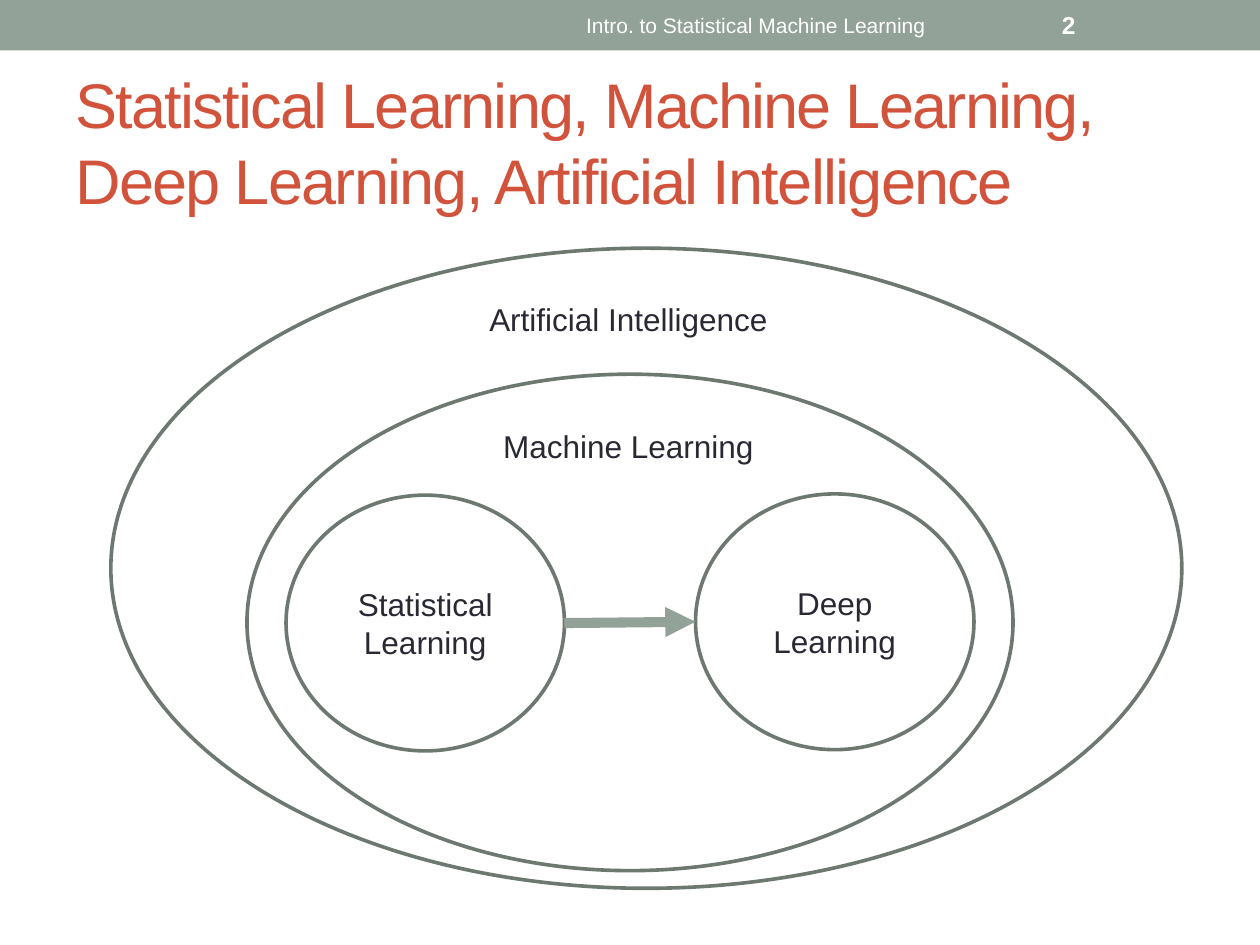
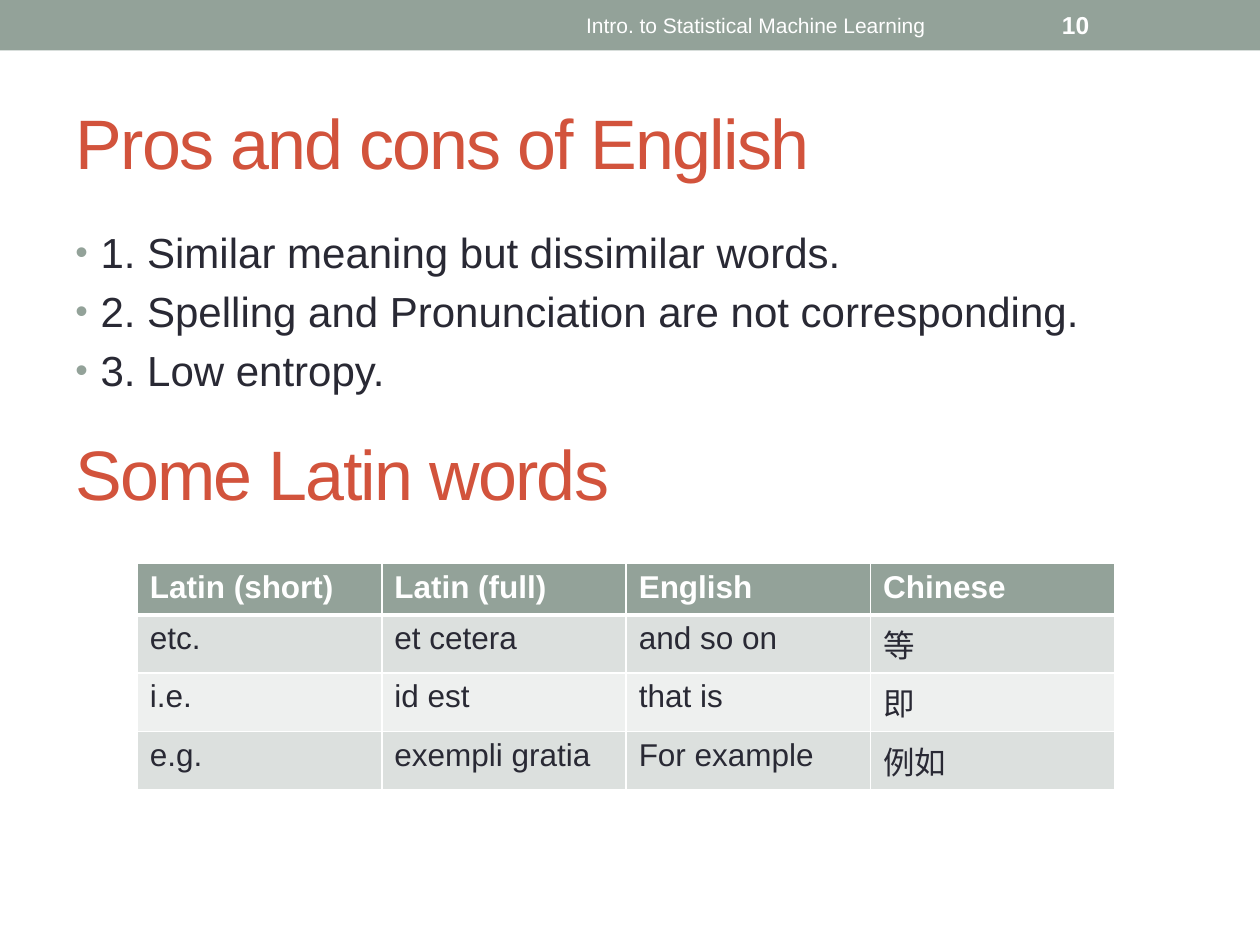
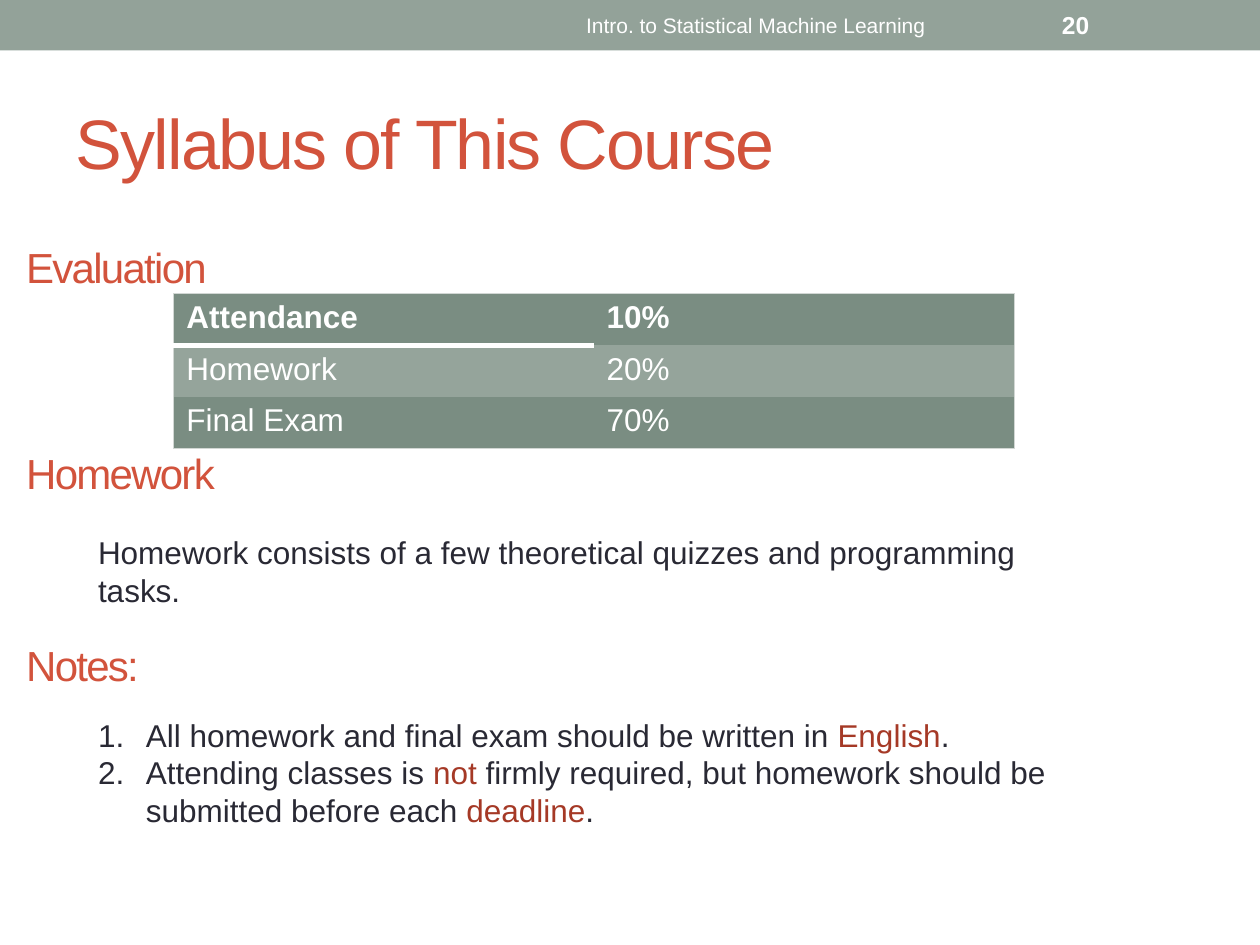
from lxml.etree import SubElement
from pptx import Presentation
from pptx.dml.color import RGBColor
from pptx.enum.shapes import MSO_CONNECTOR, MSO_SHAPE
from pptx.enum.text import MSO_ANCHOR as Anchor, MSO_AUTO_SIZE as AutoSize, PP_ALIGN as Align
from pptx.oxml.ns import qn
from pptx.util import Inches, Pt

FONT = "Arial"
WHITE = RGBColor(0xFF, 0xFF, 0xFF)
SAGE = RGBColor(0x93, 0xA2, 0x99)
OUTLINE = RGBColor(0x6D, 0x78, 0x71)
ORANGE = RGBColor(0xD2, 0x53, 0x3C)
BRICK = RGBColor(0xA5, 0x39, 0x26)
INK = RGBColor(0x29, 0x29, 0x34)
ROW_DARK = RGBColor(0xDC, 0xE0, 0xDE)
ROW_LIGHT = RGBColor(0xEE, 0xF0, 0xEF)
MOSS = RGBColor(0x7A, 0x8D, 0x82)
MOSS_LIGHT = RGBColor(0x95, 0xA4, 0x9B)
TABLE_EDGE = RGBColor(0xD2, 0xD7, 0xD4)
NO_STYLE_NO_GRID = "{2D5ABB26-0587-4C30-8999-92F81FD0307C}"

COURSE = "Intro. to Statistical Machine Learning"
TITLE_AREA = (0.5, 0.58, 9, 1.08)

# Ellipses: text, (left, top, width, height)
AI_AREA = (0.88, 1.97, 8.5, 5.08)
ML_AREA = (1.96, 2.97, 6.08, 3.94)
STATISTICAL_AREA = (2.27, 3.93, 2.21, 2.03)
DEEP_AREA = (5.52, 3.92, 2.21, 2.03)
FIELDS = [
    ("", ML_AREA),
    ("Statistical Learning", STATISTICAL_AREA),
    ("Deep Learning", DEEP_AREA),
    ("", AI_AREA),
]
# Labels centred on the slide: text, top, width
FIELD_LABELS = [("Machine Learning", 3.34, 2.21), ("Artificial Intelligence", 2.33, 2.43)]

ENGLISH_POINTS = [
    "1. Similar meaning but dissimilar words.",
    "2. Spelling and Pronunciation are not corresponding.",
    "3. Low entropy.",
]
LATIN_WORDS = [
    ("Latin (short)", "Latin (full)", "English", "Chinese"),
    ("etc.", "et cetera", "and so on", "等"),
    ("i.e.", "id est", "that is", "即"),
    ("e.g.", "exempli gratia", "For example", "例如"),
]

EVALUATION = [("Attendance", "10%"), ("Homework", "20%"), ("Final Exam", "70%")]
# Section headings: text, top
SECTIONS = [("Evaluation", 1.87), ("Notes:", 5.03), ("Homework", 3.5)]
HOMEWORK = "Homework consists of a few theoretical quizzes and programming tasks."
NOTES = [
    [("All homework and final exam should be written in ", INK), ("English", BRICK), (".", INK)],
    [("Attending classes is ", INK), ("not ", BRICK),
     ("firmly required, but homework should be submitted before each ", INK),
     ("deadline", BRICK), (".", INK)],
]


def inches(area):
    return [Inches(value) for value in area]


def add_run(paragraph, text, size, color=INK, bold=False, spacing=None):
    """Add a formatted run; spacing is in points between letters."""
    run = paragraph.add_run()
    run.text = text
    run.font.name, run.font.size, run.font.bold = FONT, Pt(size), bold
    run.font.color.rgb = color
    if spacing:
        run.font._element.set("spc", str(spacing * 100))


def add_text(slide, area, text, size, color=INK, bold=False, spacing=None,
             align=Align.LEFT, anchor=Anchor.TOP, wrap=True):
    frame = slide.shapes.add_textbox(*inches(area)).text_frame
    frame.word_wrap = wrap
    frame.auto_size = AutoSize.NONE if wrap else AutoSize.SHAPE_TO_FIT_TEXT
    frame.vertical_anchor = anchor
    frame.paragraphs[0].alignment = align
    if text:
        add_run(frame.paragraphs[0], text, size, color, bold, spacing)
    return frame


def add_list(slide, area, items, size, indent, marker, gap=0):
    """Add a list of items, each a list of (text, colour); marker adds the bullet XML."""
    frame = add_text(slide, area, "", size)
    for number, item in enumerate(items):
        paragraph = frame.add_paragraph() if number else frame.paragraphs[0]
        properties = paragraph._p.get_or_add_pPr()
        properties.set("marL", str(Inches(indent)))
        properties.set("indent", str(-Inches(indent)))
        marker(properties)
        if number:
            paragraph.space_before = Pt(gap)
        for text, color in item:
            add_run(paragraph, text, size, color)


def dot_marker(properties):
    color = SubElement(properties, qn("a:buClr"))
    SubElement(color, qn("a:srgbClr"), val=str(SAGE))
    SubElement(properties, qn("a:buSzPct"), val="85000")
    SubElement(properties, qn("a:buFont"), typeface=FONT)
    SubElement(properties, qn("a:buChar"), char="•")


def number_marker(properties):
    SubElement(properties, qn("a:buFont"), typeface=FONT)
    SubElement(properties, qn("a:buAutoNum"), type="arabicPeriod")


def add_slide(prs, title, page, title_size=40):
    slide = prs.slides.add_slide(prs.slide_layouts[5])
    band = slide.shapes.add_shape(MSO_SHAPE.RECTANGLE, *inches((0, 0, 10, 0.4)))
    band.shadow.inherit = False
    band.fill.solid()
    band.fill.fore_color.rgb = SAGE
    band.line.fill.background()

    heading = slide.shapes.title
    heading.left, heading.top, heading.width, heading.height = inches(TITLE_AREA)
    frame = heading.text_frame
    frame.auto_size = AutoSize.NONE
    frame.vertical_anchor = Anchor.MIDDLE
    frame.paragraphs[0].alignment = Align.LEFT
    add_run(frame.paragraphs[0], title, title_size, ORANGE, spacing=-1)

    add_text(slide, (3.75, 0.02, 4.5, 0.36), COURSE, 12, WHITE,
             align=Align.CENTER, anchor=Anchor.MIDDLE)
    add_text(slide, (8.33, 0.02, 1.17, 0.36), page, 14, WHITE, bold=True, anchor=Anchor.MIDDLE)
    return slide


def add_field(slide, text, area):
    ellipse = slide.shapes.add_shape(MSO_SHAPE.OVAL, *inches(area))
    ellipse.shadow.inherit = False
    ellipse.fill.background()
    ellipse.line.color.rgb = OUTLINE
    ellipse.line.width = Pt(2.08)
    if text:
        frame = ellipse.text_frame
        frame.vertical_anchor = Anchor.MIDDLE
        frame.paragraphs[0].alignment = Align.CENTER
        add_run(frame.paragraphs[0], text, 18)


def add_arrow(slide, start_area, end_area):
    """Draw an arrow from the right of one area to the left of the next."""
    left, top, width, height = start_area
    end_left, end_top, _, end_height = end_area
    ends = (left + width, top + height / 2, end_left, end_top + end_height / 2)
    arrow = slide.shapes.add_connector(MSO_CONNECTOR.STRAIGHT, *inches(ends))
    arrow.line.color.rgb = SAGE
    arrow.line.width = Pt(5.75)
    SubElement(arrow.line._get_or_add_ln(), qn("a:tailEnd"), type="triangle")
    SubElement(arrow._element.spPr, qn("a:effectLst"))


def add_table(slide, area, rows, row_height, format_cell):
    """format_cell(row, column) gives text colour, fill and borders {side: (colour, points)}."""
    frame = slide.shapes.add_table(len(rows), len(rows[0]), *inches(area))
    table = frame.table
    table._tbl.tblPr.find(qn("a:tableStyleId")).text = NO_STYLE_NO_GRID
    for r, texts in enumerate(rows):
        table.rows[r].height = Inches(row_height)
        for c, text in enumerate(texts):
            cell = table.cell(r, c)
            color, fill, borders = format_cell(r, c)
            add_run(cell.text_frame.paragraphs[0], text, 18, color, bold=r == 0)
            properties = cell._tc.get_or_add_tcPr()
            for side in "LRTB":
                if side in borders:
                    line_color, points = borders[side]
                    line = SubElement(properties, qn(f"a:ln{side}"), w=str(Pt(points)))
                    solid = SubElement(line, qn("a:solidFill"))
                    SubElement(solid, qn("a:srgbClr"), val=str(line_color))
            cell.fill.solid()
            cell.fill.fore_color.rgb = fill


def latin_cell(row, column):
    borders = {side: (WHITE, 1) for side in "LRTB"}
    if row == 0:
        borders["B"] = (WHITE, 3)
        return WHITE, SAGE, borders
    if row == 1:
        borders["T"] = (WHITE, 3)
    return INK, ROW_DARK if row % 2 else ROW_LIGHT, borders


def evaluation_cell(row, column):
    borders = {"R" if column else "L": (TABLE_EDGE, 0.75)}
    if row == 0:
        borders["T"] = (TABLE_EDGE, 0.75)
        if column == 0:
            borders["B"] = (WHITE, 3.5)
    elif row == len(EVALUATION) - 1:
        borders["B"] = (TABLE_EDGE, 0.75)
    return WHITE, MOSS_LIGHT if row % 2 else MOSS, borders


def build_fields(prs):
    slide = add_slide(
        prs, "Statistical Learning, Machine Learning, Deep Learning, Artificial Intelligence", "2", 36)
    for text, area in FIELDS:
        add_field(slide, text, area)
    add_arrow(slide, STATISTICAL_AREA, DEEP_AREA)
    for text, top, width in FIELD_LABELS:
        add_text(slide, (5 - width / 2, top, width, 0.4), text, 18, wrap=False)


def build_english(prs):
    slide = add_slide(prs, "Pros and cons of English", "10")
    points = [[(text, INK)] for text in ENGLISH_POINTS]
    add_list(slide, (0.5, 1.75, 9, 1.55), points, 24, 0.2, dot_marker, gap=5)
    add_text(slide, (0.5, 3.21, 9, 1.08), "Some Latin words", 40, ORANGE,
             spacing=-1, anchor=Anchor.MIDDLE)
    add_table(slide, (1.09, 4.47, 7.76, 1.62), LATIN_WORDS, 0.41, latin_cell)


def build_syllabus(prs):
    slide = add_slide(prs, "Syllabus of This Course", "20")
    add_table(slide, (1.38, 2.33, 6.67, 1.22), EVALUATION, 0.41, evaluation_cell)
    for text, top in SECTIONS:
        add_text(slide, (0.11, top, 1.8, 0.5), text, 24, ORANGE, spacing=-1)
    add_list(slide, (0.68, 5.63, 8.06, 1.31), NOTES, 18, 0.38, number_marker)
    add_text(slide, (0.68, 4.18, 8.06, 1.01), HOMEWORK, 18)


def main():
    prs = Presentation()
    prs.slide_width, prs.slide_height = Inches(10), Inches(7.5)
    build_fields(prs)
    build_english(prs)
    build_syllabus(prs)
    prs.save("out.pptx")


if __name__ == "__main__":
    main()
